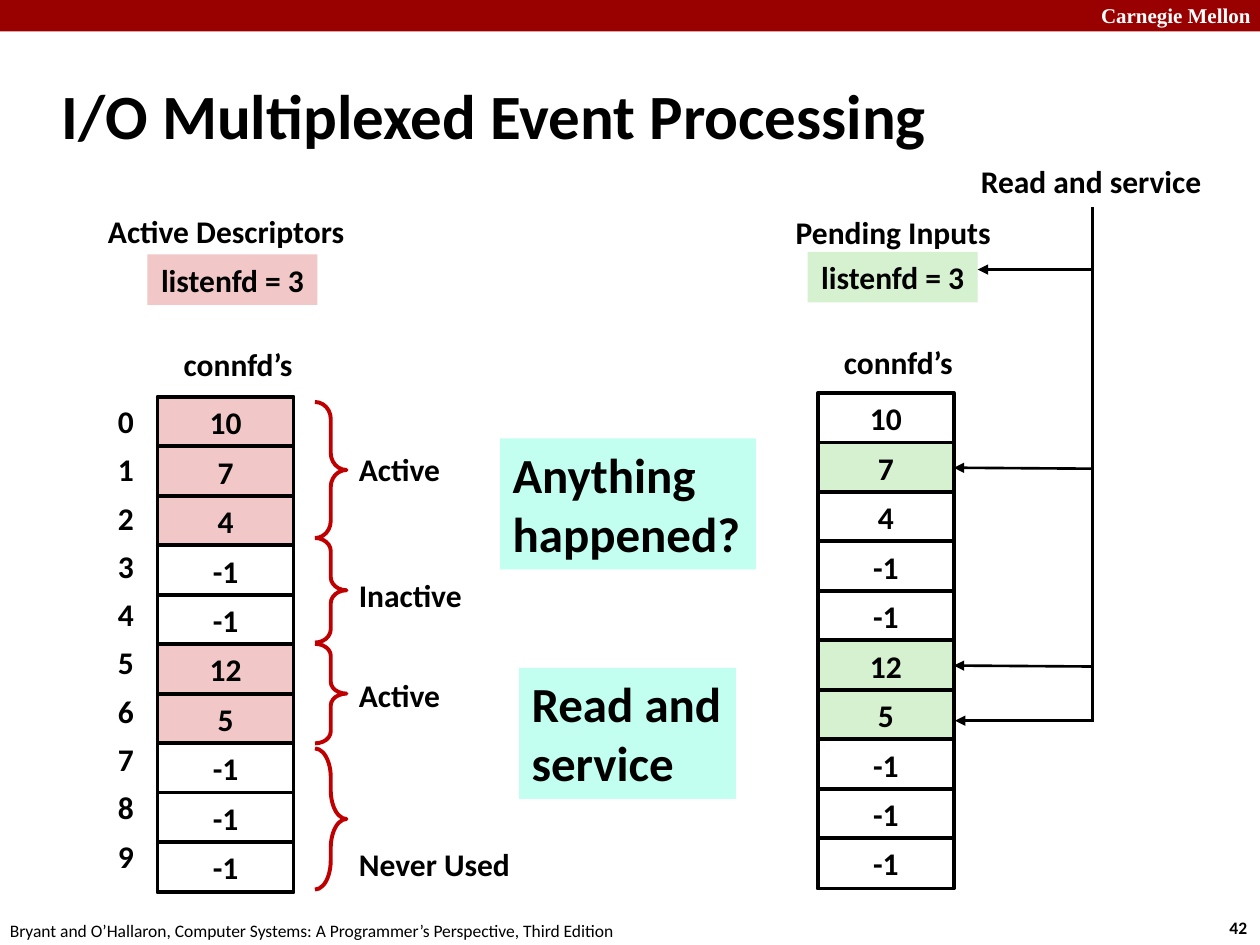
from dataclasses import dataclass
from typing import Optional

from lxml.etree import SubElement
from pptx import Presentation
from pptx.dml.color import RGBColor
from pptx.enum.shapes import MSO_CONNECTOR, MSO_SHAPE
from pptx.enum.text import MSO_ANCHOR, MSO_AUTO_SIZE, PP_ALIGN
from pptx.oxml.ns import qn
from pptx.util import Inches, Pt

BLACK = RGBColor(0x00, 0x00, 0x00)
WHITE = RGBColor(0xFF, 0xFF, 0xFF)
BANNER_RED = RGBColor(0x99, 0x00, 0x00)
BRACE_RED = RGBColor(0xC0, 0x00, 0x00)
PINK = RGBColor(0xF1, 0xC7, 0xC7)
GREEN = RGBColor(0xD5, 0xF1, 0xCF)
MINT = RGBColor(0xC2, 0xFF, 0xF0)

LEFT, CENTER, RIGHT = PP_ALIGN.LEFT, PP_ALIGN.CENTER, PP_ALIGN.RIGHT
VALUES = (10, 7, 4, -1, -1, 12, 5, -1, -1, -1)
ROW_STEP, INDEX_STEP = 0.3925, 0.3835
CELL_WIDTH, CELL_HEIGHT = 1.08, 0.4
TRUNK_X = 8.67


@dataclass(frozen=True)
class Frame:
    left: float
    top: float
    width: float
    height: float = 0.4

    def lengths(self) -> tuple:
        return tuple(Inches(n) for n in (self.left, self.top, self.width, self.height))


@dataclass(frozen=True)
class Style:
    size: float = 18
    bold: bool = True
    align: PP_ALIGN = LEFT
    color: RGBColor = BLACK
    font: str = "Calibri"
    wrap: bool = False
    middle: bool = False


@dataclass(frozen=True)
class Brace:
    top: float
    height: float
    curve: float
    label: str
    label_top: float
    label_width: float


@dataclass(frozen=True)
class DescriptorArray:
    left: float
    top: float
    fill: RGBColor
    filled_rows: tuple
    heading_top: float


ACTIVE = DescriptorArray(1.25, 3.15, PINK, (0, 1, 2, 5, 6), 2.69)
PENDING = DescriptorArray(6.49, 3.12, GREEN, (1, 5, 6), 2.67)

BRACES = (
    Brace(3.19, 1.08, 0.54, "Active", 3.52, 0.85),
    Brace(4.27, 0.83, 0.42, "Inactive", 4.52, 1.03),
    Brace(5.11, 0.79, 0.38, "Active", 5.32, 0.85),
    Brace(5.94, 1.12, 0.92, "Never Used", 6.66, 1.42),
)

CENTERED = Style(align=CENTER)
CELL = Style(align=CENTER, wrap=True, middle=True)
INDEX = Style(align=RIGHT, wrap=True, middle=True)
CAPTION = Style(align=CENTER, wrap=True)
CALLOUT = Style(size=28)


def write_text(shape, paragraphs: tuple, style: Style) -> None:
    """Fill a shape's text frame; a newline within a paragraph is a line break."""
    frame = shape.text_frame
    frame.word_wrap = style.wrap
    frame.auto_size = MSO_AUTO_SIZE.SHAPE_TO_FIT_TEXT
    frame.vertical_anchor = MSO_ANCHOR.MIDDLE if style.middle else MSO_ANCHOR.TOP
    for number, text in enumerate(paragraphs):
        para = frame.add_paragraph() if number else frame.paragraphs[0]
        para.alignment = style.align
        for line_number, line in enumerate(text.split("\n")):
            if line_number:
                para.add_line_break()
            span = para.add_run()
            span.text = line
            span.font.name = style.font
            span.font.size = Pt(style.size)
            span.font.bold = style.bold
            span.font.color.rgb = style.color


def add_label(page, frame: Frame, text: str, style: Style):
    """Add a text box holding one paragraph."""
    box = page.shapes.add_textbox(*frame.lengths())
    write_text(box, (text,), style)
    return box


def add_panel(page, frame: Frame, fill: RGBColor, paragraphs: tuple = (),
              style: Style = CENTERED, outlined: bool = False):
    """Add a filled rectangle with optional text and outline."""
    panel = page.shapes.add_shape(MSO_SHAPE.RECTANGLE, *frame.lengths())
    panel.shadow.inherit = False
    panel.fill.solid()
    panel.fill.fore_color.rgb = fill
    if outlined:
        panel.line.color.rgb = BLACK
        panel.line.width = Pt(2.25)
    else:
        panel.line.fill.background()
    if paragraphs:
        write_text(panel, paragraphs, style)
    return panel


def add_array(page, array: DescriptorArray) -> list:
    """Draw the column of descriptor cells with its heading and return the cells."""
    add_label(page, Frame(array.left + 0.09, array.heading_top, 1.1), "connfd’s", CENTERED)
    return [
        add_panel(page, Frame(array.left, array.top + row * ROW_STEP, CELL_WIDTH, CELL_HEIGHT),
                  array.fill if row in array.filled_rows else WHITE,
                  (str(value),), CELL, outlined=True)
        for row, value in enumerate(VALUES)
    ]


def add_brace(page, brace: Brace) -> None:
    """Draw a right brace and the label beside it."""
    frame = Frame(2.5, brace.top, 0.25, brace.height)
    shape = page.shapes.add_shape(MSO_SHAPE.RIGHT_BRACE, *frame.lengths())
    shape.shadow.inherit = False
    shape.adjustments[0] = brace.curve
    shape.adjustments[1] = 0.5
    shape.fill.background()
    shape.line.color.rgb = BRACE_RED
    shape.line.width = Pt(2.25)
    add_label(page, Frame(2.75, brace.label_top, brace.label_width), brace.label, Style())


def add_line(page, start: tuple, end: tuple, arrow: bool = True, target: Optional[object] = None):
    """Draw a straight line, joined to the target's right side when one is given."""
    points = (Inches(n) for n in (*start, *end))
    line = page.shapes.add_connector(MSO_CONNECTOR.STRAIGHT, *points)
    line.line.color.rgb = BLACK
    line.line.width = Pt(1.5)
    if arrow:
        SubElement(line.line._get_or_add_ln(), qn("a:tailEnd"), type="triangle")
    SubElement(line._element.spPr, qn("a:effectLst"))
    if target is not None:
        line.end_connect(target, 3)
    return line


def main() -> None:
    """Build the slide and save it."""
    deck = Presentation()
    deck.slide_width, deck.slide_height = Inches(10), Inches(7.5)
    page = deck.slides.add_slide(deck.slide_layouts[6])

    add_panel(page, Frame(0, 0, 10, 0.25), BANNER_RED)
    add_label(page, Frame(8.64, -0.03, 1.43, 0.3), "Carnegie Mellon",
              Style(size=12, color=WHITE, font="Times New Roman", wrap=True))
    add_label(page, Frame(9.66, 7.23, 0.37, 0.27), "42", Style(size=10))
    add_label(page, Frame(-0.02, 7.25, 5.08, 0.27),
              "Bryant and O’Hallaron, Computer Systems: A Programmer’s Perspective, Third Edition",
              Style(size=10, bold=False))
    title = add_label(page, Frame(0.39, 0.49, 8.3, 0.83), "I/O Multiplexed Event Processing",
                      Style(size=36, wrap=True, middle=True))
    title.text_frame.auto_size = MSO_AUTO_SIZE.NONE

    add_array(page, ACTIVE)
    for index in range(len(VALUES)):
        add_label(page, Frame(0.08, 3.14 + index * INDEX_STEP, 1.08), str(index), INDEX)
    for brace in BRACES:
        add_brace(page, brace)
    add_panel(page, Frame(1.17, 2.02, 1.35), PINK, ("listenfd = 3 ",))
    add_label(page, Frame(0.75, 1.63, 2.09), "Active Descriptors", CENTERED)

    cells = add_array(page, PENDING)
    add_panel(page, Frame(6.41, 2, 1.35), GREEN, ("listenfd = 3 ",))
    add_label(page, Frame(6, 1.64, 2.18), "Pending Inputs", CAPTION)
    for end_x, y, target in ((7.76, 2.14, None), (7.57, 3.72, cells[1]),
                             (7.57, 5.29, cells[5]), (7.58, 5.72, None)):
        add_line(page, (TRUNK_X, y), (end_x, y), target=target)
    add_line(page, (TRUNK_X, 5.73), (TRUNK_X, 1.64), arrow=False)
    add_label(page, Frame(7.57, 1.24, 2.18), "Read and service", CAPTION)

    add_panel(page, Frame(3.97, 3.48, 2.03, 1.04), MINT, ("Anything", "happened?"), CALLOUT)
    add_panel(page, Frame(4.12, 5.3, 1.72, 1.04), MINT, ("Read and\nservice",), CALLOUT)
    deck.save("out.pptx")


if __name__ == "__main__":
    main()
